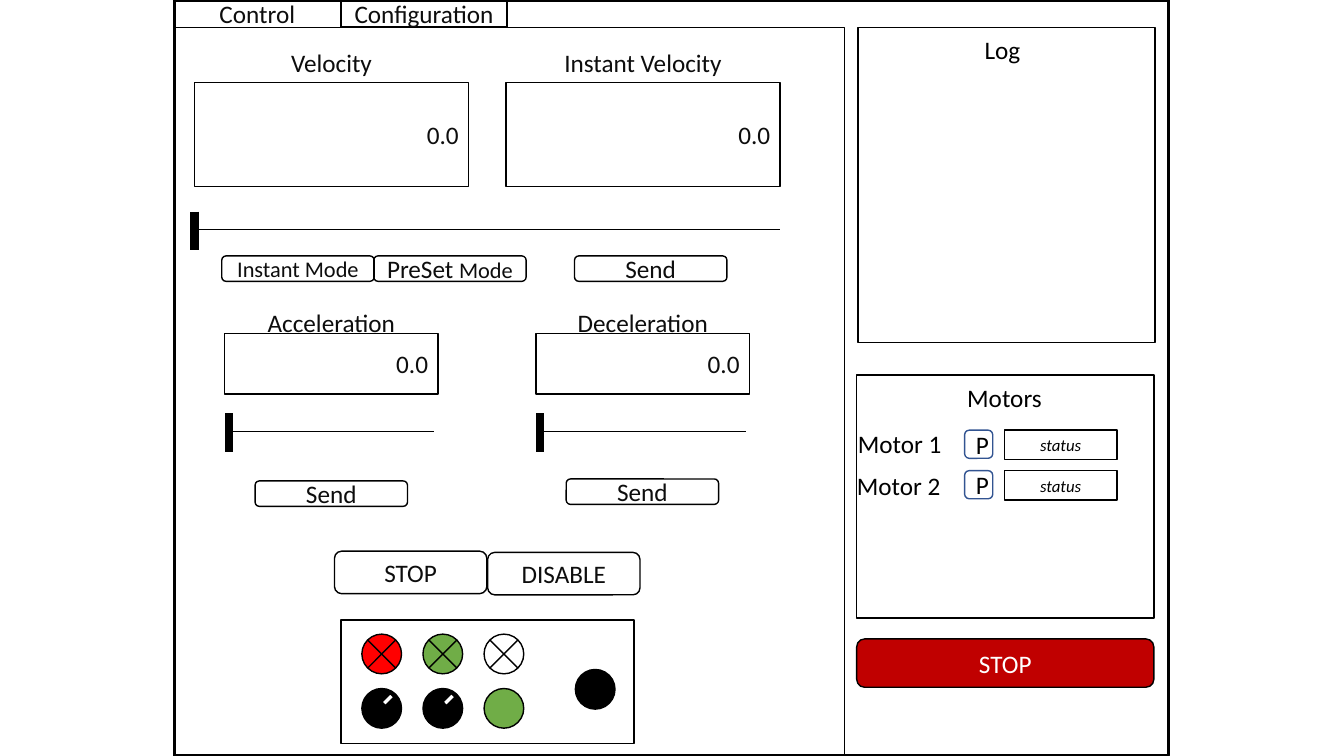
from lxml.etree import SubElement
from pptx import Presentation
from pptx.dml.color import RGBColor
from pptx.enum.shapes import MSO_CONNECTOR, MSO_SHAPE
from pptx.enum.text import MSO_ANCHOR, PP_ALIGN
from pptx.oxml.ns import qn
from pptx.util import Cm, Pt

FONT = "Calibri"
BLACK, INK, WHITE = "000000", "0D0D0D", "FFFFFF"
RED, DARK_RED, GREEN, BLUE = "FF0000", "C00000", "70AD47", "325491"
RECTANGLE, ROUNDED, OVAL = MSO_SHAPE.RECTANGLE, MSO_SHAPE.ROUNDED_RECTANGLE, MSO_SHAPE.OVAL

# Content; all lengths are centimetres
TABS = [("Control", 0.5), ("Configuration", 1.5)]
FRAMES = [  # left, top, width, height, line width
    (4.39, 0, 25.07, 19.05, 2.25),
    (4.39, 0.69, 16.89, 18.36, 1),
    (21.62, 0.69, 7.49, 7.95, 1),
    (21.59, 9.45, 7.49, 6.12, 1),
]
HEADINGS = [("Log", 23.93, 0.74), ("Motors", 23.98, 9.5)]
READOUTS = [  # labels, left, label top, box top, width, height
    (("Velocity", "Instant Velocity"), 4.9, 1.07, 2.08, 6.91, 2.62),
    (("Acceleration", "Deceleration"), 5.66, 7.62, 8.41, 5.38, 1.52),
]
READOUT_PITCH = 7.85
SLIDERS = [(4.9, 5.79, 14.76), (5.77, 10.87, 5.18), (13.61, 10.87, 5.18)]
BUTTONS = [  # text, left, top, height, sizes of the words
    ("Instant Mode", 5.59, 6.45, 0.64, (16,)),
    ("PreSet Mode", 9.42, 6.45, 0.64, (18, 16)),
    ("Send", 14.48, 6.45, 0.64, (18,)),
    ("Send", 6.43, 12.12, 0.64, (18,)),
    ("Send", 14.27, 12.07, 0.64, (18,)),
    ("STOP", 8.43, 13.89, 1.07, (18,)),
    ("DISABLE", 12.29, 13.92, 1.07, (18,)),
]
BUTTON_WIDTH = 3.84
MOTORS = [("Motor 1", 21.34, 10.67, 10.84), ("Motor 2", 21.31, 11.73, 11.86)]
LAMPS = [RED, GREEN, WHITE]
KNOBS = [BLACK, BLACK, GREEN]
LAMP_LEFT, LAMP_TOP, KNOB_TOP, LAMP_PITCH, LAMP_SIZE = 9.12, 15.98, 17.35, 1.54, 1


def color(hex_string):
    """Turn a hex string into a colour."""
    return RGBColor.from_string(hex_string)


def write(shape, text, sizes=(18,), ink=INK, align=PP_ALIGN.CENTER, italic=False):
    """Put one line of text in a shape, with one size or one size per word."""
    frame = shape.text_frame
    frame.word_wrap = True
    paragraph = frame.paragraphs[0]
    paragraph.alignment = align
    first, gap, rest = text.partition(" ") if len(sizes) > 1 else (text, "", "")
    paragraph.text = first + gap
    if rest:
        paragraph.add_run().text = rest
    for run, size in zip(paragraph.runs, sizes):
        run.font.name, run.font.size, run.font.italic = FONT, Pt(size), italic
        run.font.color.rgb = color(ink)


def add_label(text, left, top, width, ink=INK):
    """Add a centred text box."""
    box = slide.shapes.add_textbox(Cm(left), Cm(top), Cm(width), Cm(1.02))
    write(box, text, ink=ink)


def add_box(kind, left, top, width, height, fill=None, line=BLACK, weight=1):
    """Add an outlined preset shape, filled if a fill colour is given."""
    shape = slide.shapes.add_shape(kind, Cm(left), Cm(top), Cm(width), Cm(height))
    shape.shadow.inherit = False
    if fill:
        shape.fill.solid()
        shape.fill.fore_color.rgb = color(fill)
    else:
        shape.fill.background()
    shape.line.color.rgb = color(line)
    shape.line.width = Pt(weight)
    shape.text_frame.vertical_anchor = MSO_ANCHOR.MIDDLE
    return shape


def add_line(x1, y1, x2, y2, weight=1):
    """Add a straight black line without shadow."""
    line = slide.shapes.add_connector(MSO_CONNECTOR.STRAIGHT, Cm(x1), Cm(y1), Cm(x2), Cm(y2))
    line.line.color.rgb = color(BLACK)
    line.line.width = Pt(weight)
    SubElement(line._element.spPr, qn("a:effectLst"))


def add_slider(left, middle, length):
    """Add a slider track with its handle at the left end."""
    add_line(left, middle, left + length, middle, 0.5)
    add_line(left, middle - 0.46, left, middle + 0.51, 6)


def add_lamp(left, top, fill):
    """Add a round lamp with a cross on it."""
    add_box(OVAL, left, top, LAMP_SIZE, LAMP_SIZE, fill)
    near, far = 0.15, LAMP_SIZE - 0.15
    add_line(left + near, top + near, left + far, top + far)
    add_line(left + far, top + near, left + near, top + far)


def add_knob(left, top, fill):
    """Add a round knob; a black one gets a slanted white pointer."""
    add_box(OVAL, left, top, LAMP_SIZE, LAMP_SIZE, fill)
    if fill == BLACK:
        pointer = add_box(RECTANGLE, left + 0.59, top + 0.13, 0.13, 0.3, WHITE)
        pointer.rotation = 45


presentation = Presentation()
presentation.slide_width, presentation.slide_height = Cm(33.87), Cm(19.05)
slide = presentation.slides.add_slide(presentation.slide_layouts[6])

for index, (text, weight) in enumerate(TABS):
    write(add_box(RECTANGLE, 4.39 + index * 4.2, 0, 4.19, 0.69, WHITE, weight=weight), text)
for left, top, width, height, weight in FRAMES:
    add_box(RECTANGLE, left, top, width, height, weight=weight)
for text, left, top in HEADINGS:
    add_label(text, left, top, 2.67, BLACK)

for labels, first_left, label_top, top, width, height in READOUTS:
    for index, text in enumerate(labels):
        left = first_left + index * READOUT_PITCH
        write(add_box(RECTANGLE, left, top, width, height), "0.0", align=PP_ALIGN.RIGHT)
        add_label(text, left, label_top, width)
for left, middle, length in SLIDERS:
    add_slider(left, middle, length)
for text, left, top, height, sizes in BUTTONS:
    write(add_box(ROUNDED, left, top, BUTTON_WIDTH, height), text, sizes)

for name, left, label_top, top in MOTORS:
    add_label(name, left, label_top, 2.67, BLACK)
    write(add_box(ROUNDED, 24.31, top, 0.71, 0.71, WHITE, BLUE), "P", ink=BLACK)
    status = add_box(RECTANGLE, 25.31, top, 2.84, 0.74, WHITE)
    write(status, "status", (12,), BLACK, italic=True)
write(add_box(ROUNDED, 21.59, 16.1, 7.49, 1.22, DARK_RED), "STOP", ink=WHITE)

add_box(RECTANGLE, 8.59, 15.62, 7.39, 3.12, WHITE)
add_box(OVAL, 14.5, 16.87, LAMP_SIZE, LAMP_SIZE, BLACK)
for index, (lamp, knob) in enumerate(zip(LAMPS, KNOBS)):
    left = LAMP_LEFT + index * LAMP_PITCH
    add_lamp(left, LAMP_TOP, lamp)
    add_knob(left, KNOB_TOP, knob)

presentation.save("out.pptx")
